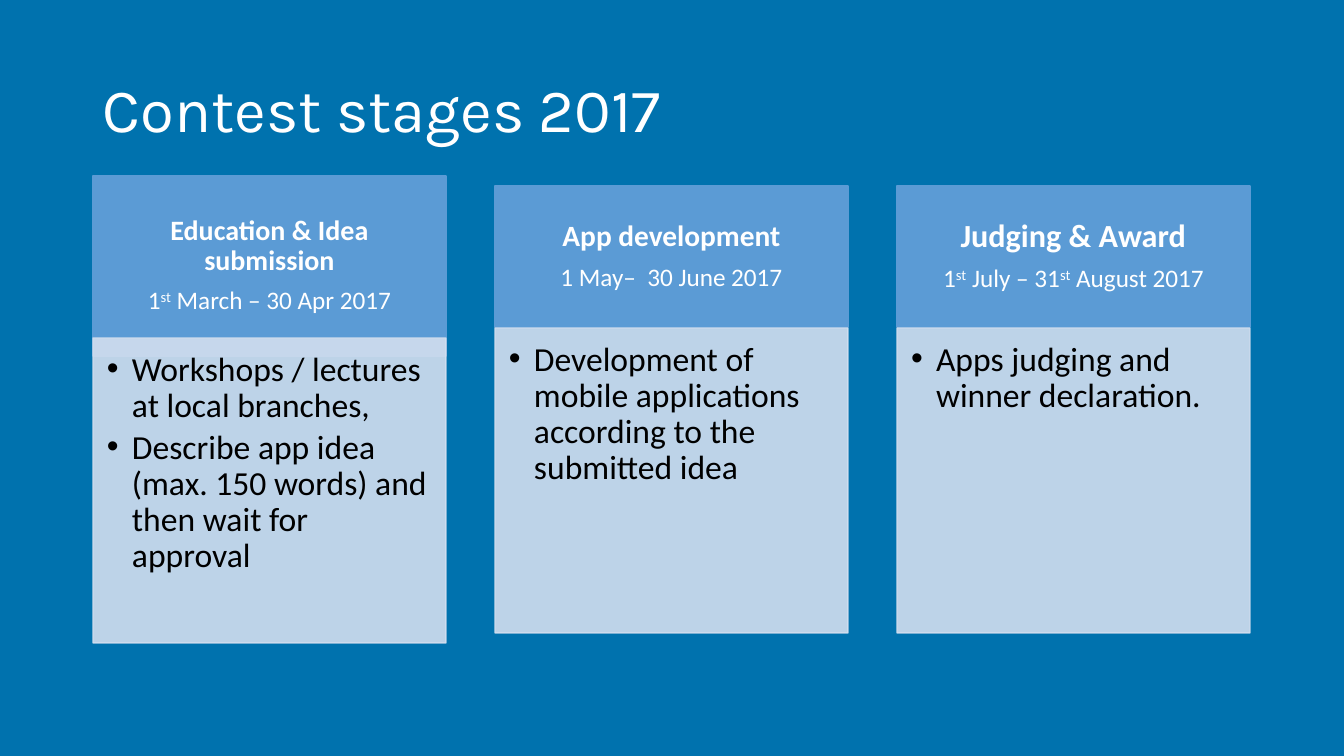
"""Builds the slide with the stages of the 2017 app contest."""
from dataclasses import dataclass

from lxml.etree import SubElement
from pptx import Presentation
from pptx.dml.color import RGBColor
from pptx.enum.shapes import MSO_SHAPE
from pptx.enum.text import MSO_ANCHOR, PP_ALIGN
from pptx.oxml.ns import qn
from pptx.util import Emu, Pt


@dataclass(frozen=True)
class Theme:
    """Colours, fonts and type sizes of the slide."""

    background: str = "0072AE"
    header: str = "5B9BD5"
    panel: str = "D2DEEF"
    light: str = "FFFFFF"
    dark: str = "000000"
    title_font: str = "Karla"
    body_font: str = "Calibri"
    title_size: int = 44
    date_size: int = 18
    body_size: int = 24


THEME = Theme()
COLUMN_LEFT, COLUMN_PITCH, COLUMN_WIDTH = 93, 402, 353
PANEL_HEIGHT = 305
PANEL_OPACITY = 90

STAGES = [
    {
        "name": "Education & Idea submission",
        "size": 20,
        "dates": ["1", "st", " March – 30 Apr 2017"],
        "tasks": [
            "Workshops / lectures at local branches,",
            "Describe app idea (max. 150 words) and then wait for approval",
        ],
        "header": (176, 180),
        "panel_top": 338,
    },
    {
        "name": "App development",
        "size": 21,
        "dates": ["1 May–  30 June 2017"],
        "tasks": ["Development of mobile applications according to the submitted idea"],
        "header": (186, 141),
        "panel_top": 328,
    },
    {
        "name": "Judging & Award",
        "size": 23,
        "dates": ["1", "st", " July – 31", "st", " August 2017"],
        "tasks": ["Apps judging and winner declaration."],
        "header": (186, 141),
        "panel_top": 328,
    },
]


def px(length):
    """Turn pixels into EMU."""
    return Emu(round(length * 914400 / 100.8))


def set_frame(frame, insets, anchor):
    """Set wrapping, insets and vertical anchor of a text frame."""
    frame.word_wrap = True
    frame.vertical_anchor = anchor
    frame.margin_left, frame.margin_top, frame.margin_right, frame.margin_bottom = map(px, insets)


def add_para(frame, first, align, space_after=0):
    """Return the first paragraph or a new one, with its spacing set."""
    para = frame.paragraphs[0] if first else frame.add_paragraph()
    para.alignment = align
    para.line_spacing = 0.9
    para.space_after = Pt(space_after)
    return para


def add_span(para, text, size, colour, font=THEME.body_font, bold=False, raised=False):
    """Add one formatted run to a paragraph."""
    span = para.add_run()
    span.text = text
    span.font.name = font
    span.font.size = Pt(size)
    span.font.bold = bold
    span.font.color.rgb = RGBColor.from_string(colour)
    if raised:
        span.font._element.set("baseline", "30000")


def add_bullet(para):
    """Give a paragraph a hanging round bullet."""
    properties = para._p.get_or_add_pPr()
    properties.set("marL", str(px(25)))
    properties.set("indent", str(-px(25)))
    SubElement(properties, qn("a:buFont"), typeface="Arial")
    SubElement(properties, qn("a:buChar"), char="•")


def add_box(page, left, top, width, height, colour, opacity=100):
    """Add a rectangle whose fill and line share one colour and opacity."""
    box = page.shapes.add_shape(MSO_SHAPE.RECTANGLE, px(left), px(top), px(width), px(height))
    box.shadow.inherit = False
    box.line.width = Pt(1)
    for fill in (box.fill, box.line.fill):
        fill.solid()
        fill.fore_color.rgb = RGBColor.from_string(colour)
    if opacity < 100:
        for shade in box._element.spPr.iter(qn("a:srgbClr")):
            SubElement(shade, qn("a:alpha"), val=str(opacity * 1000))
    return box


def add_title(page, text):
    """Add the slide heading."""
    box = page.shapes.add_textbox(px(93), px(40), px(1159), px(146))
    set_frame(box.text_frame, (10, 5, 10, 5), MSO_ANCHOR.MIDDLE)
    para = add_para(box.text_frame, True, PP_ALIGN.LEFT)
    add_span(para, text, THEME.title_size, THEME.light, THEME.title_font)


def add_header(page, left, stage):
    """Add the box with the name and dates of a stage."""
    top, height = stage["header"]
    frame = add_box(page, left, top, COLUMN_WIDTH, height, THEME.header).text_frame
    set_frame(frame, (16, 9, 16, 9), MSO_ANCHOR.MIDDLE)
    name = add_para(frame, True, PP_ALIGN.CENTER, 8)
    add_span(name, stage["name"], stage["size"], THEME.light, bold=True)
    dates = add_para(frame, False, PP_ALIGN.CENTER, 8)
    for text in stage["dates"]:
        add_span(dates, text, THEME.date_size, THEME.light, raised=text == "st")


def add_panel(page, left, stage):
    """Add the translucent panel with the tasks of a stage."""
    box = add_box(page, left, stage["panel_top"], COLUMN_WIDTH, PANEL_HEIGHT, THEME.panel, PANEL_OPACITY)
    set_frame(box.text_frame, (14, 14, 19, 21), MSO_ANCHOR.TOP)
    for index, task in enumerate(stage["tasks"]):
        para = add_para(box.text_frame, index == 0, PP_ALIGN.LEFT, 4)
        add_bullet(para)
        add_span(para, task, THEME.body_size, THEME.dark)


def main():
    """Build and save the deck."""
    deck = Presentation()
    deck.slide_width, deck.slide_height = px(1344), px(756)
    page = deck.slides.add_slide(deck.slide_layouts[6])
    page.background.fill.solid()
    page.background.fill.fore_color.rgb = RGBColor.from_string(THEME.background)
    add_title(page, "Contest stages 2017")
    for index, stage in enumerate(STAGES):
        left = COLUMN_LEFT + index * COLUMN_PITCH
        add_header(page, left, stage)
        add_panel(page, left, stage)
    deck.save("out.pptx")


if __name__ == "__main__":
    main()
